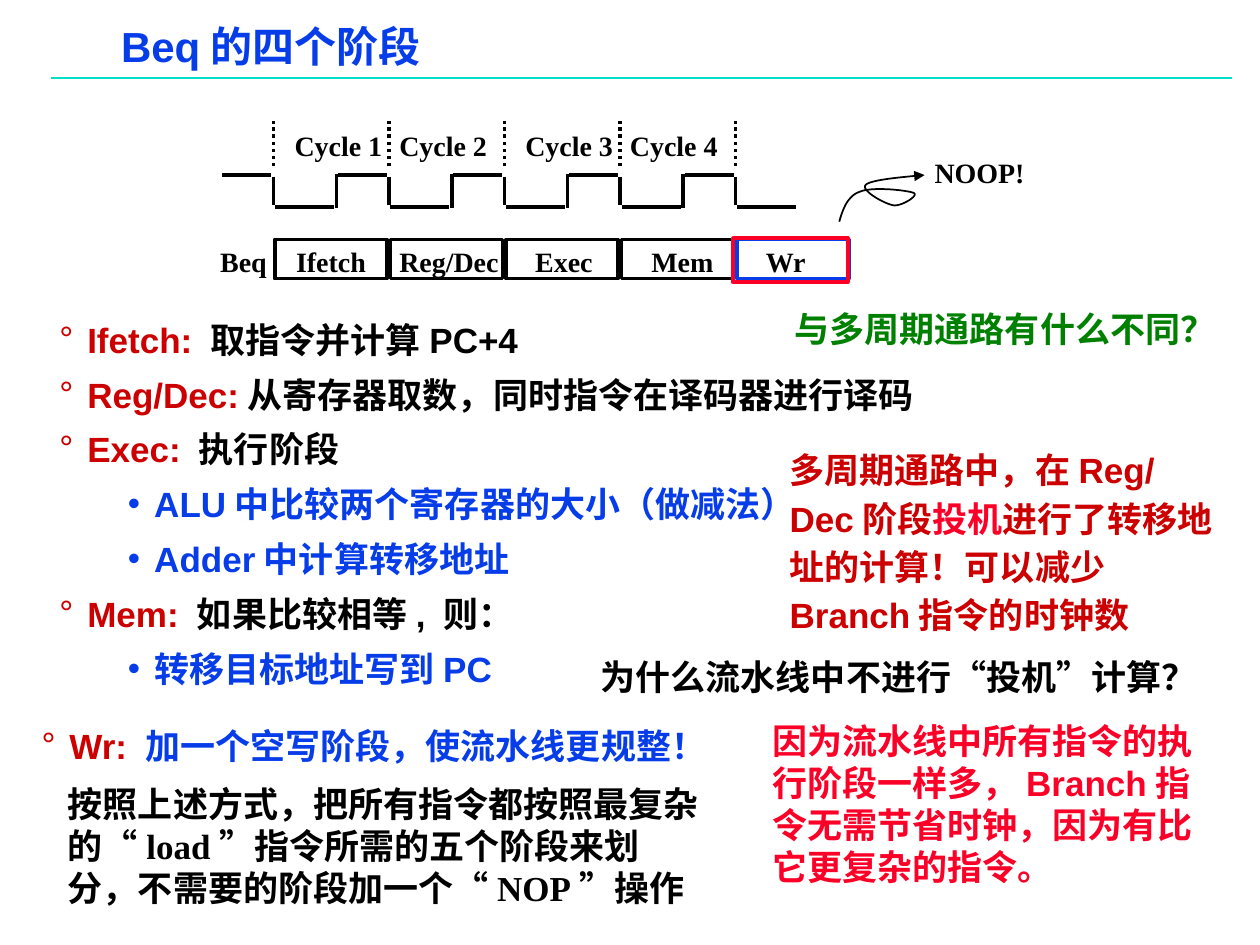
"""Build the slide on the four stages of the Beq instruction."""
from lxml import etree
from pptx import Presentation
from pptx.dml.color import RGBColor
from pptx.enum.dml import MSO_LINE
from pptx.enum.shapes import MSO_CONNECTOR, MSO_SHAPE
from pptx.enum.text import MSO_ANCHOR, MSO_AUTO_SIZE, PP_ALIGN
from pptx.oxml.ns import qn
from pptx.util import Cm, Pt

STRAIGHT = MSO_CONNECTOR.STRAIGHT
RECTANGLE = MSO_SHAPE.RECTANGLE
DOTTED = MSO_LINE.ROUND_DOT
LEFT, TOP, MIDDLE = PP_ALIGN.LEFT, MSO_ANCHOR.TOP, MSO_ANCHOR.MIDDLE
GROW, FIXED = MSO_AUTO_SIZE.SHAPE_TO_FIT_TEXT, MSO_AUTO_SIZE.NONE

SANS, SERIF, CHINESE = "Arial", "Times New Roman", "Noto Sans CJK SC"
BLACK, BLUE, RED, PINK = "000000", "063DE8", "CC0000", "FC0128"
GREEN, TEAL = "008000", "00DFCA"
TIGHT = (0.18, 0.08)
BULLETS = {0: ("°", RED, 0.56, 0.56), 1: ("•", BLUE, 1.91, 0.53)}

TITLE = "Beq的四个阶段"
STEPS = [
    (0, [("Ifetch: ", RED), ("取指令并计算PC+4", BLACK)]),
    (0, [("Reg/Dec:", RED), ("从寄存器取数，同时指令在译码器进行译码", BLACK)]),
    (0, [("Exec: ", RED), ("执行阶段", BLACK)]),
    (1, [("ALU中比较两个寄存器的大小（做减法）", BLUE)]),
    (1, [("Adder中计算转移地址", BLUE)]),
    (0, [("Mem: ", RED), ("如果比较相等, 则：", BLACK)]),
    (1, [("转移目标地址写到PC", BLUE)]),
]
WRITE_STEP = [(0, [("Wr: ", RED), ("加一个空写阶段，使流水线更规整！", BLUE)])]
SPECULATION = [("多周期通路中，在Reg/Dec阶段", RED), ("投机", PINK),
               ("进行了转移地址的计算！可以减少Branch指令的时钟数", RED)]
QUESTION = [("为什么流水线中不进行", BLACK), ("“", BLACK, CHINESE), ("投机", BLACK),
            ("”", BLACK, CHINESE), ("计算？", BLACK)]
ANSWER = "因为流水线中所有指令的执行阶段一样多，Branch指令无需节省时钟，因为有比它更复杂的指令。"
SUMMARY = "按照上述方式，把所有指令都按照最复杂的“load”指令所需的五个阶段来划分，不需要的阶段加一个“NOP”操作"
NOTES = [
    ((15.77, 5.82, 9.35, 1.37), [("与多周期通路有什么不同？", GREEN)], SERIF, 1.3),
    ((15.67, 8.79, 9.12, 4.17), SPECULATION, SANS, 1.15),
    ((11.86, 13.08, 12.73, 1.12), QUESTION, SERIF, 1),
    ((15.32, 14.38, 9.12, 3.66), [(ANSWER, PINK)], SANS, 1),
    ((1.12, 15.65, 13.34, 2.79), [(SUMMARY, BLACK)], SERIF, 1),
]
LABELS = [
    ("Cycle 1", 5.69, 2.46, 2.5), ("Cycle 2", 7.8, 2.46, 2.5),
    ("Cycle 3", 10.34, 2.46, 2.5), ("Cycle 4", 12.45, 2.46, 2.5),
    ("Beq", 4.19, 4.8, 1.7), ("Ifetch", 5.72, 4.8, 2.1),
    ("Reg/Dec", 7.8, 4.8, 2.7), ("Exec", 10.54, 4.8, 1.9),
    ("Mem", 12.88, 4.8, 2), ("Wr", 15.19, 4.8, 1.5),
    ("NOOP!", 18.59, 3, 2.6),
]
STAGE_COLORS = [BLACK, BLACK, BLACK, BLACK, BLUE]
FIRST_EDGE, CYCLE = 5.51, 2.33
LOW_LEVEL, HIGH_LEVEL = 4.17, 3.53
ARROW_START = (16.92, 4.47)
ARROW_CURVES = [
    ((16.99, 4.22), (17.09, 3.94), (17.35, 3.86)),
    ((17.6, 3.76), (18.31, 3.84), (18.42, 3.89)),
    ((18.54, 3.94), (18.16, 4.17), (18.01, 4.14)),
    ((17.83, 4.11), (17.35, 3.84), (17.45, 3.73)),
    ((17.55, 3.63), (18.08, 3.58), (18.64, 3.53)),
]


def rgb(color):
    return RGBColor.from_string(color)


def add_bullet(paragraph, level):
    symbol, color, margin, hanging = BULLETS[level]
    properties = paragraph._p.get_or_add_pPr()
    properties.set("marL", str(Cm(margin)))
    properties.set("indent", str(-Cm(hanging)))
    bullet_color = etree.SubElement(properties, qn("a:buClr"))
    etree.SubElement(bullet_color, qn("a:srgbClr"), val=color)
    etree.SubElement(properties, qn("a:buFont"), typeface=SANS)
    etree.SubElement(properties, qn("a:buChar"), char=symbol)


def write_text(shape, paragraphs, font=SANS, size=20, spacing=1, before=0,
               insets=(0.25, 0.13), fit=GROW, anchor=TOP):
    frame = shape.text_frame
    frame.word_wrap, frame.auto_size, frame.vertical_anchor = True, fit, anchor
    frame.margin_left = frame.margin_right = Cm(insets[0])
    frame.margin_top = frame.margin_bottom = Cm(insets[1])
    for index, (level, runs) in enumerate(paragraphs):
        paragraph = frame.add_paragraph() if index else frame.paragraphs[0]
        paragraph._p.get_or_add_pPr().set("hangingPunct", "0")
        if level is not None:
            add_bullet(paragraph, level)
            paragraph.level = level
        paragraph.alignment = LEFT
        paragraph.line_spacing = spacing
        paragraph.space_before = Pt(before if index else 0)
        for text, color, *own_font in runs:
            run = paragraph.add_run()
            run.text = text
            run.font.size, run.font.bold = Pt(size), True
            run.font.color.rgb = rgb(color)
            run.font.name = own_font[0] if own_font else font
            etree.SubElement(run._r.get_or_add_rPr(), qn("a:ea"), typeface=CHINESE)


def add_text(slide, box, paragraphs, **text_format):
    write_text(slide.shapes.add_textbox(*map(Cm, box)), paragraphs, **text_format)


def add_line(slide, start, end, color=BLACK, width=2, dash=None):
    line = slide.shapes.add_connector(STRAIGHT, *map(Cm, start + end))
    line.line.color.rgb, line.line.width = rgb(color), Pt(width)
    if dash:
        line.line.dash_style = dash
    etree.SubElement(line._element.spPr, qn("a:effectLst"))


def outline(shape, color, width):
    shape.shadow.inherit = False
    shape.fill.background()
    shape.line.color.rgb, shape.line.width = rgb(color), Pt(width)


def add_frame(slide, box, color, width=2):
    outline(slide.shapes.add_shape(RECTANGLE, *map(Cm, box)), color, width)


def add_clock(slide):
    for index in range(-1, len(STAGE_COLORS)):
        edge = FIRST_EDGE + index * CYCLE
        if index >= 0:
            add_line(slide, (edge, 3.35), (edge, 2.44), dash=DOTTED)
            add_line(slide, (edge, 3.56), (edge, 4.14))
            add_line(slide, (edge + 0.03, LOW_LEVEL), (edge + 1.22, LOW_LEVEL))
            add_frame(slide, (edge + 0.03, 4.83, 2.26, 0.79), STAGE_COLORS[index])
        if index < len(STAGE_COLORS) - 1:
            add_line(slide, (edge + 1.3, HIGH_LEVEL), (edge + 2.29, HIGH_LEVEL))
            if index >= 0:
                add_line(slide, (edge + 1.27, 4.19), (edge + 1.27, 3.51))


def curve_points(start, curves, steps=16):
    points = []
    for first, second, end in curves:
        for t in (step / steps for step in range(1, steps + 1)):
            weights = ((1 - t) ** 3, 3 * t * (1 - t) ** 2, 3 * t ** 2 * (1 - t), t ** 3)
            points.append(tuple(
                Cm(sum(weight * value for weight, value in zip(weights, values)))
                for values in zip(start, first, second, end)))
        start = end
    return points


def add_curved_arrow(slide):
    builder = slide.shapes.build_freeform(*map(Cm, ARROW_START))
    builder.add_line_segments(curve_points(ARROW_START, ARROW_CURVES), close=False)
    arrow = builder.convert_to_shape()
    outline(arrow, BLACK, 1)
    etree.SubElement(arrow.line._get_or_add_ln(), qn("a:tailEnd"), type="triangle")


def main():
    presentation = Presentation()
    presentation.slide_width, presentation.slide_height = Cm(25.4), Cm(19.05)
    slide = presentation.slides.add_slide(presentation.slide_layouts[5])
    title = slide.shapes.title
    title.left, title.top, title.width, title.height = map(Cm, (2.26, 0.48, 13.18, 1.02))
    write_text(title, [(None, [(TITLE, BLUE)])], size=24, spacing=0.87,
               insets=TIGHT, fit=FIXED, anchor=MIDDLE)
    add_line(slide, (1.02, 1.57), (24.84, 1.57), TEAL, 1)
    add_text(slide, (1.02, 6.25, 22.76, 8.31), STEPS, spacing=1.1, before=5,
             insets=TIGHT, fit=FIXED)
    add_clock(slide)
    for text, left, top, width in LABELS:
        add_text(slide, (left, top, width, 0.91), [(None, [(text, BLACK)])],
                 font=SERIF, size=16)
    add_curved_arrow(slide)
    add_text(slide, (0.66, 14.48, 14.63, 1.04), WRITE_STEP, spacing=1.05, insets=TIGHT)
    add_frame(slide, (14.78, 4.8, 2.31, 0.89), PINK, 2.25)
    for box, runs, font, spacing in NOTES:
        add_text(slide, box, [(None, runs)], font=font, spacing=spacing)
    presentation.save("out.pptx")


if __name__ == "__main__":
    main()
